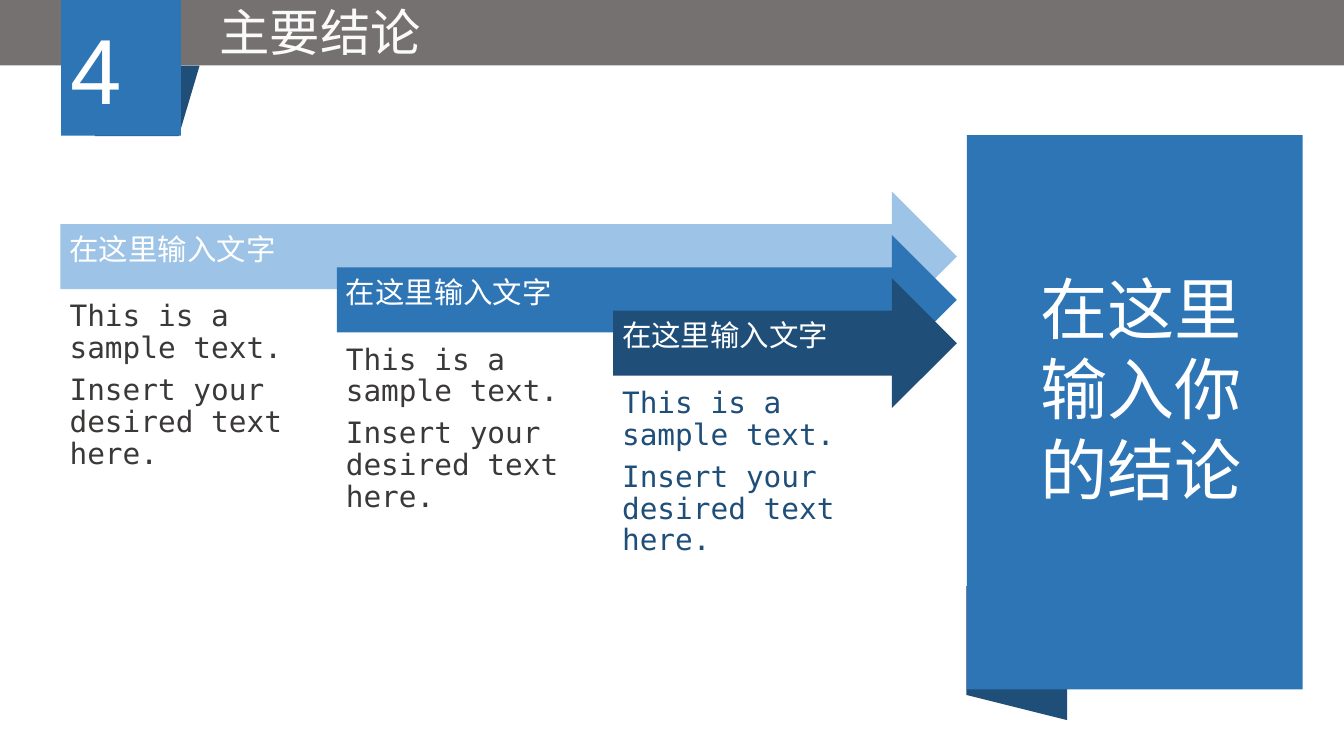
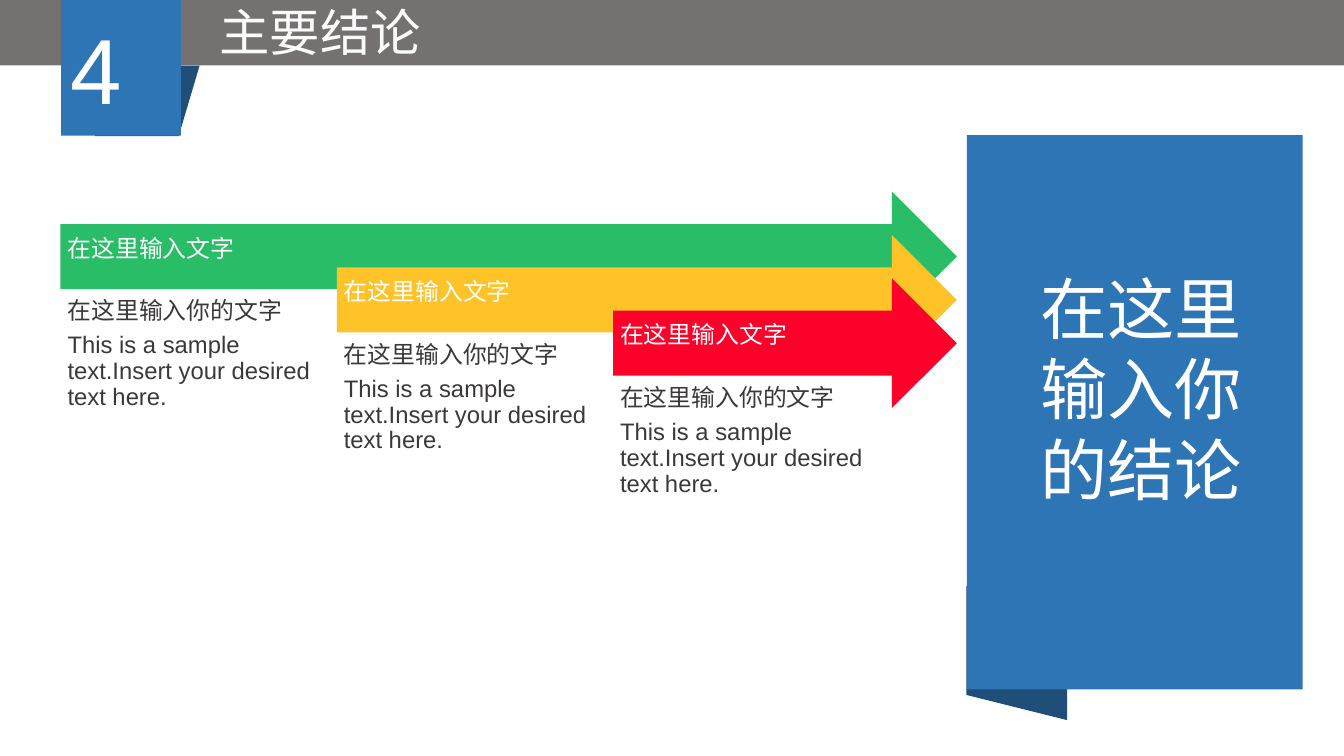
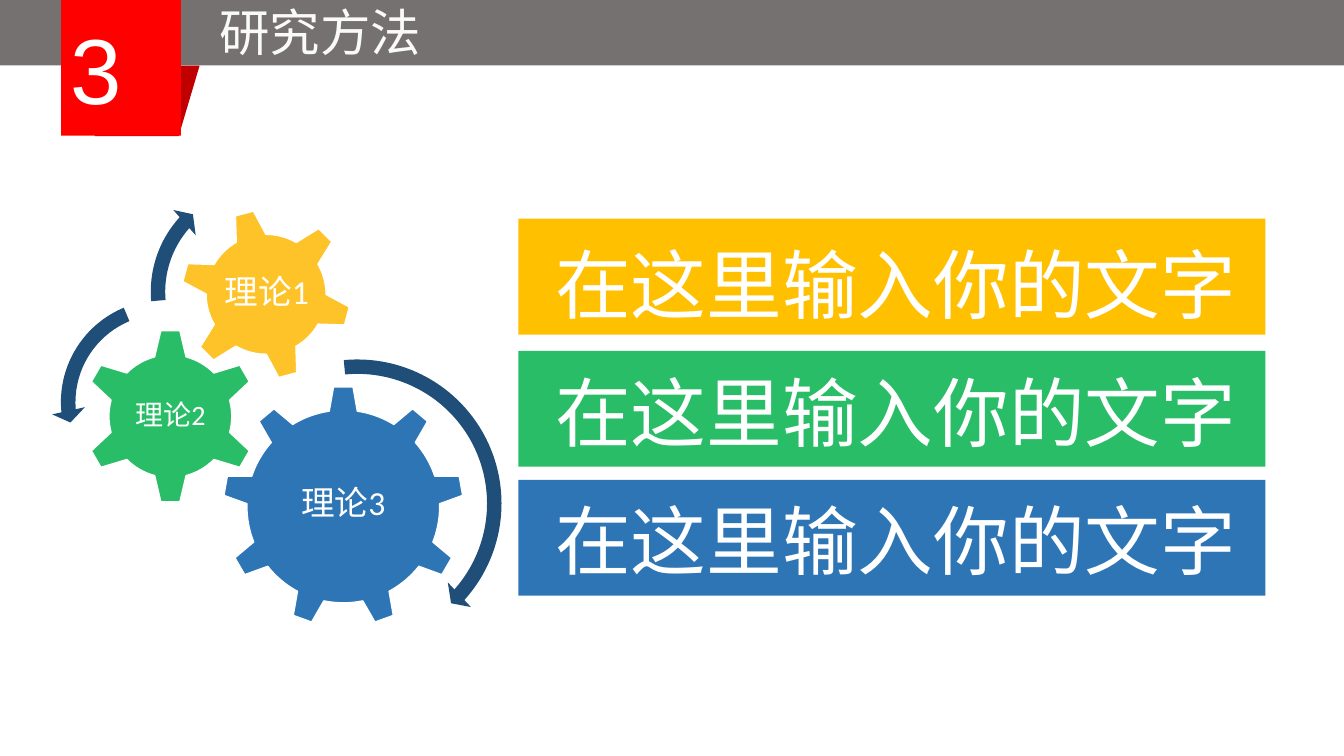
from dataclasses import dataclass

from pptx import Presentation
from pptx import util as u
from pptx.dml.color import RGBColor
from pptx.enum import shapes, text
from pptx.oxml.ns import qn

PX = 9144  # EMU per px, 100 px to the inch
SLIDE_W, SLIDE_H = 1333, 750

WHITE, OFF_WHITE = "FFFFFF", "FAFAFA"
GRAY, DARK_GRAY = "767171", "3B3838"
BLUE, NAVY, SKY = "2E75B6", "1F4E79", "9DC3E6"
GREEN, YELLOW, AMBER, CRIMSON = "29BD67", "FEC328", "FFC000", "FC022A"
RED, DARK_RED = "FF0000", "C00000"

ARIAL, CALIBRI = "Arial", "Calibri"
MONO, CJK = "DejaVu Sans Mono", "Noto Sans CJK SC"
SHAPE = shapes.MSO_SHAPE
MIDDLE = text.MSO_ANCHOR.MIDDLE
LEFT, CENTER = text.PP_ALIGN.LEFT, text.PP_ALIGN.CENTER
PLAIN_INSETS = (10, 5, 10, 5)

Box = tuple[int, int, int, int]


@dataclass(frozen=True)
class Line:
    """One paragraph and its font."""
    words: str
    font: str


@dataclass(frozen=True)
class Step:
    fill: str
    color: str


@dataclass(frozen=True)
class StepStyle:
    """Text format that all steps of one slide share."""
    size: int
    inset: int
    label_font: str
    body: tuple[Line, ...]


@dataclass(frozen=True)
class Gear:
    kind: int
    box: Box
    turn: int
    fill: str
    label: str
    label_box: Box
    size: int


@dataclass(frozen=True)
class Swirl:
    """A curved arrow; adjustments are in thousandths."""
    kind: int
    box: Box
    adjustments: tuple[int, ...]


@dataclass(frozen=True)
class Bar:
    fill: str
    top: int
    text_top: int


def rgb(color: str) -> RGBColor:
    return RGBColor.from_string(color)


def emu(box: Box) -> list[u.Emu]:
    return [u.Emu(v * PX) for v in box]


def add_shape(slide, kind: int, box: Box, fill: str, turn: int = 0, outline: str = ""):
    sp = slide.shapes.add_shape(kind, *emu(box))
    sp.shadow.inherit = False
    sp.rotation = turn
    sp.fill.solid()
    sp.fill.fore_color.rgb = rgb(fill)
    if outline:
        sp.line.color.rgb = rgb(outline)
        sp.line.width = u.Pt(1)
    else:
        sp.line.fill.background()
    return sp


def write(sp, *lines: Line, size: int, color: str = WHITE, align=LEFT,
          anchor=text.MSO_ANCHOR.TOP, insets: Box = PLAIN_INSETS,
          tight: bool = False) -> None:
    """Fill a shape with text; tight sets 90% lines and a gap of 35% of the size."""
    tf = sp.text_frame
    tf.word_wrap = True
    tf.vertical_anchor = anchor
    tf.margin_left, tf.margin_top, tf.margin_right, tf.margin_bottom = emu(insets)
    for i, line in enumerate(lines):
        p = tf.add_paragraph() if i else tf.paragraphs[0]
        p.alignment = align
        if tight:
            p.line_spacing = 0.9
            p.space_after = u.Pt(size * 0.35)
        r = p.add_run()
        r.text = line.words
        r.font.size = u.Pt(size)
        r.font.name = line.font
        r.font.color.rgb = rgb(color)
        east_asian = r.font._element.makeelement(qn("a:ea"), {"typeface": line.font})
        r.font._element.find(qn("a:latin")).addnext(east_asian)


def add_text(slide, box: Box, *lines: Line, **style) -> None:
    write(slide.shapes.add_textbox(*emu(box)), *lines, **style)


def add_header(slide, title: str) -> None:
    add_shape(slide, SHAPE.RECTANGLE, (0, -1, SLIDE_W, 66), GRAY)
    add_text(slide, (147, -4, 341, 71), Line(title, ARIAL),
             size=36, color=OFF_WHITE, align=CENTER)


def add_ribbon(slide, number: str, fill: str, fold: str) -> None:
    """Numbered ribbon hanging over the header band."""
    add_shape(slide, SHAPE.FLOWCHART_DATA, (94, 65, 104, 70), fold, turn=180)
    sp = add_shape(slide, SHAPE.RECTANGLE, (52, 7, 136, 119), fill, turn=270)
    write(sp, Line(number, ARIAL), size=66, align=CENTER, anchor=MIDDLE)
    sp.text_frame._txBody.bodyPr.set("vert", "eaVert")


def add_step(slide, index: int, step: Step, style: StepStyle) -> None:
    width, arrow_end = 274, 949
    left, top = 60 + width * index, 190 + 43 * index
    inset = style.inset
    arrow = add_shape(slide, SHAPE.RIGHT_ARROW, (left, top, arrow_end - left, 129), step.fill)
    write(arrow, Line("在这里输入文字", style.label_font), size=style.size,
          anchor=MIDDLE, insets=(inset, inset, 28, 21), tight=True)
    add_text(slide, (left, top + 100, width, 249), *style.body, size=style.size,
             color=step.color, insets=(inset,) * 4, tight=True)


def build_conclusion(prs, steps: list[Step], style: StepStyle) -> None:
    slide = prs.slides.add_slide(prs.slide_layouts[6])
    add_shape(slide, SHAPE.PARALLELOGRAM, (942, 598, 133, 100), NAVY, turn=90)
    add_header(slide, "主要结论")
    for i, step in enumerate(steps):
        add_step(slide, i, step, style)
    add_shape(slide, SHAPE.RECTANGLE, (959, 134, 333, 550), BLUE)
    add_text(slide, (1022, 260, 284, 333), Line("在这里输入你的结论", ARIAL), size=48)
    add_ribbon(slide, "4", BLUE, NAVY)


def build_methods(prs, gears: list[Gear], swirls: list[Swirl], bars: list[Bar]) -> None:
    slide = prs.slides.add_slide(prs.slide_layouts[6])
    add_header(slide, "研究方法")
    for gear in gears:
        add_shape(slide, gear.kind, gear.box, gear.fill, gear.turn, outline=WHITE)
        add_text(slide, gear.label_box, Line(gear.label, CALIBRI), size=gear.size,
                 align=CENTER, anchor=MIDDLE, insets=(3, 3, 3, 3), tight=True)
    for swirl in swirls:
        sp = add_shape(slide, swirl.kind, swirl.box, NAVY)
        for i, value in enumerate(swirl.adjustments):
            sp.adjustments[i] = value / 1000
    for bar in bars:
        add_shape(slide, SHAPE.RECTANGLE, (514, bar.top, 741, 115), bar.fill)
        add_text(slide, (541, bar.text_top, 714, 101),
                 Line("在这里输入你的文字", ARIAL), size=54)
    add_ribbon(slide, "3", RED, DARK_RED)


BLUE_STEPS = [Step(SKY, DARK_GRAY), Step(BLUE, DARK_GRAY), Step(NAVY, NAVY)]
BRIGHT_STEPS = [Step(fill, DARK_GRAY) for fill in (GREEN, YELLOW, CRIMSON)]
MONO_STYLE = StepStyle(21, 9, CALIBRI, (
    Line("This is a sample text.", MONO),
    Line("Insert your desired text here.", MONO),
))
SANS_STYLE = StepStyle(17, 7, CJK, (
    Line("在这里输入你的文字", CJK),
    Line("This is a sample text.Insert your desired text here.", ARIAL),
))
GEARS = [
    Gear(SHAPE.GEAR_9, (221, 383, 239, 239), 0, BLUE, "理论3", (269, 439, 143, 123), 24),
    Gear(SHAPE.GEAR_6, (82, 326, 174, 174), 0, GREEN, "理论2", (126, 370, 86, 86), 20),
    Gear(SHAPE.GEAR_6, (179, 207, 170, 170), 345, YELLOW, "理论1", (217, 244, 95, 95), 24),
]
SWIRLS = [
    Swirl(SHAPE.CIRCULAR_ARROW, (202, 347, 305, 305), (47, 2990, 25106, 158733, 55)),
    Swirl(SHAPE.LEFT_CIRCULAR_ARROW, (51, 288, 222, 222), (65, 4300, 104891, 148378, 75)),
    Swirl(SHAPE.CIRCULAR_ARROW, (140, 170, 239, 239), (60, 3941, 133138, 105082, 70)),
]
BARS = [Bar(AMBER, 217, 231), Bar(GREEN, 348, 358), Bar(BLUE, 476, 485)]


def main() -> None:
    prs = Presentation()
    prs.slide_width, prs.slide_height = u.Emu(SLIDE_W * PX), u.Emu(SLIDE_H * PX)
    build_conclusion(prs, BLUE_STEPS, MONO_STYLE)
    build_conclusion(prs, BRIGHT_STEPS, SANS_STYLE)
    build_methods(prs, GEARS, SWIRLS, BARS)
    prs.save("out.pptx")


if __name__ == "__main__":
    main()
